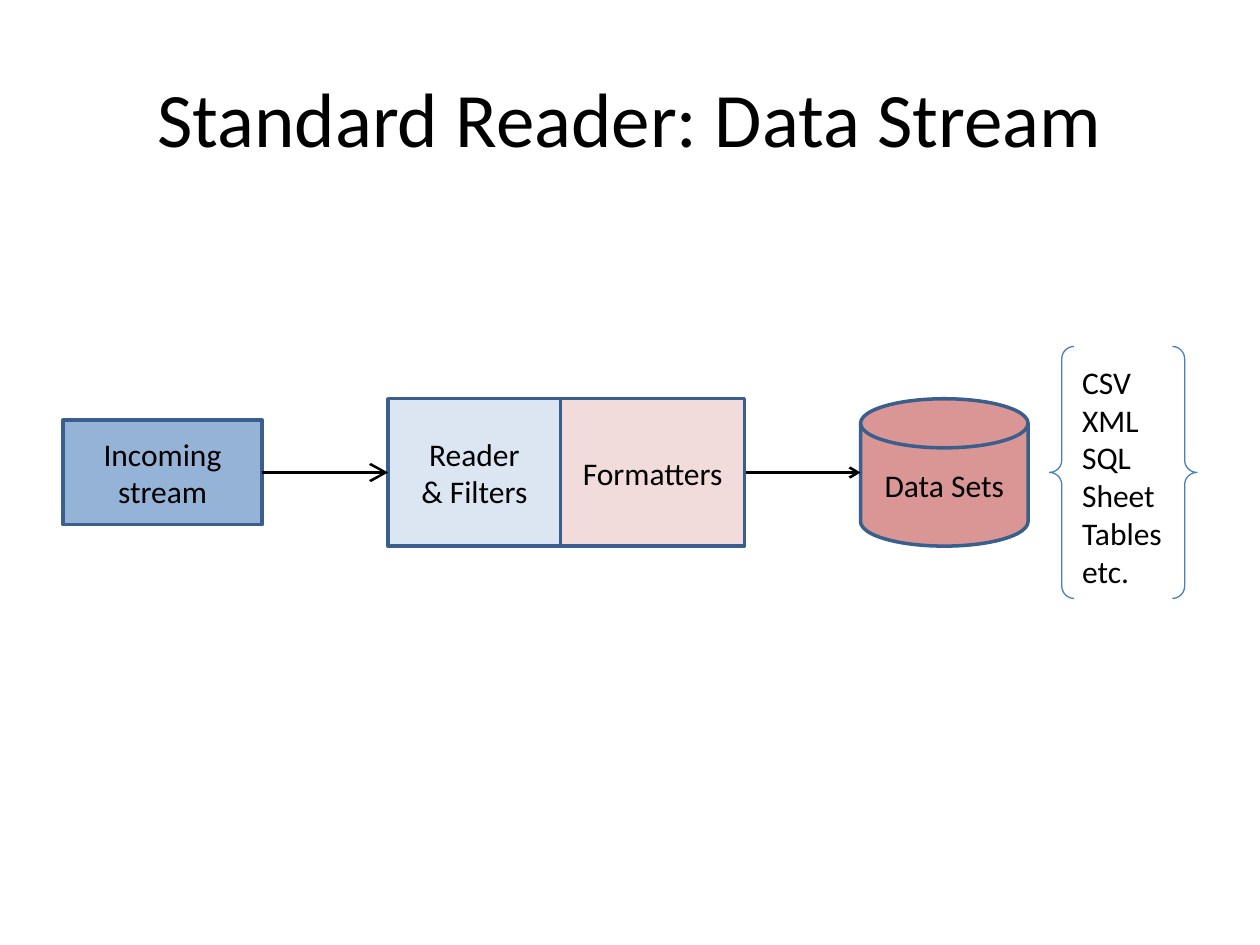
import lxml.etree
import pptx
import pptx.dml.color
import pptx.enum.shapes
import pptx.enum.text
import pptx.oxml.ns
import pptx.util

Inches = pptx.util.Inches
Shape = pptx.enum.shapes.MSO_SHAPE
Align = pptx.enum.text.PP_ALIGN
Anchor = pptx.enum.text.MSO_ANCHOR


def color(value):
    return pptx.dml.color.RGBColor.from_string(value)


class DiagramSlide:
    font = "Calibri"
    ink = "000000"
    outline = "3A5F8C"
    brace_line = "4B7EBC"
    middle = 3.75

    def __init__(self, slide):
        self.slide = slide

    def set_text(self, shape, lines, size, align, anchor):
        frame = shape.text_frame
        frame.word_wrap = True
        frame.vertical_anchor = anchor
        for index, line in enumerate(lines):
            paragraph = frame.paragraphs[0] if index == 0 else frame.add_paragraph()
            paragraph.text = line
            paragraph.alignment = align
            paragraph.font.name = self.font
            paragraph.font.size = pptx.util.Pt(size)
            paragraph.font.color.rgb = color(self.ink)

    def text(self, left, top, width, height, lines, size=18, align=Align.LEFT, anchor=Anchor.TOP):
        box = self.slide.shapes.add_textbox(Inches(left), Inches(top), Inches(width), Inches(height))
        self.set_text(box, lines, size, align, anchor)

    def shape(self, kind, left, width, height, line, weight):
        shape = self.slide.shapes.add_shape(
            kind, Inches(left), Inches(self.middle - height / 2), Inches(width), Inches(height))
        shape.shadow.inherit = False
        shape.fill.background()
        shape.line.color.rgb = color(line)
        shape.line.width = pptx.util.Pt(weight)
        return shape

    def node(self, kind, left, width, height, fill, lines):
        shape = self.shape(kind, left, width, height, self.outline, 2)
        shape.fill.solid()
        shape.fill.fore_color.rgb = color(fill)
        self.set_text(shape, lines, 18, Align.CENTER, Anchor.MIDDLE)

    def braces(self, left, width, height):
        self.shape(Shape.DOUBLE_BRACE, left, width, height, self.brace_line, 0.75)

    def arrow(self, start, end, head):
        connector = self.slide.shapes.add_connector(
            pptx.enum.shapes.MSO_CONNECTOR.STRAIGHT,
            Inches(start), Inches(self.middle), Inches(end), Inches(self.middle))
        connector.line.color.rgb = color(self.ink)
        connector.line.width = pptx.util.Pt(1.5)
        qn = pptx.oxml.ns.qn
        properties = connector._element.spPr
        lxml.etree.SubElement(properties.find(qn("a:ln")), qn("a:tailEnd"),
                              type="arrow", w=head, len=head)
        lxml.etree.SubElement(properties, qn("a:effectLst"))


presentation = pptx.Presentation()
presentation.slide_width = Inches(10)
presentation.slide_height = Inches(7.5)
diagram = DiagramSlide(presentation.slides.add_slide(presentation.slide_layouts[6]))

diagram.text(0.5, 0.3, 9, 1.25, ["Standard Reader: Data Stream"], 44, Align.CENTER, Anchor.MIDDLE)

for kind, left, width, height, fill, lines in [
    (Shape.RECTANGLE, 0.5, 1.58, 0.83, "95B3D7", ["Incoming stream"]),
    (Shape.RECTANGLE, 3.08, 1.37, 1.17, "DCE6F2", ["Reader", "& Filters"]),
    (Shape.RECTANGLE, 4.45, 1.46, 1.17, "F2DCDB", ["Formatters"]),
    (Shape.FLOWCHART_MAGNETIC_DISK, 6.83, 1.33, 1.17, "D99694", ["Data Sets"]),
]:
    diagram.node(kind, left, width, height, fill, lines)

diagram.arrow(2.08, 3.08, "lg")
diagram.arrow(5.92, 6.83, "med")

diagram.braces(8.33, 1.17, 2)
diagram.text(8.49, 2.83, 1, 1.92, ["CSV", "XML", "SQL", "Sheet", "Tables", "etc."])

presentation.save("out.pptx")
